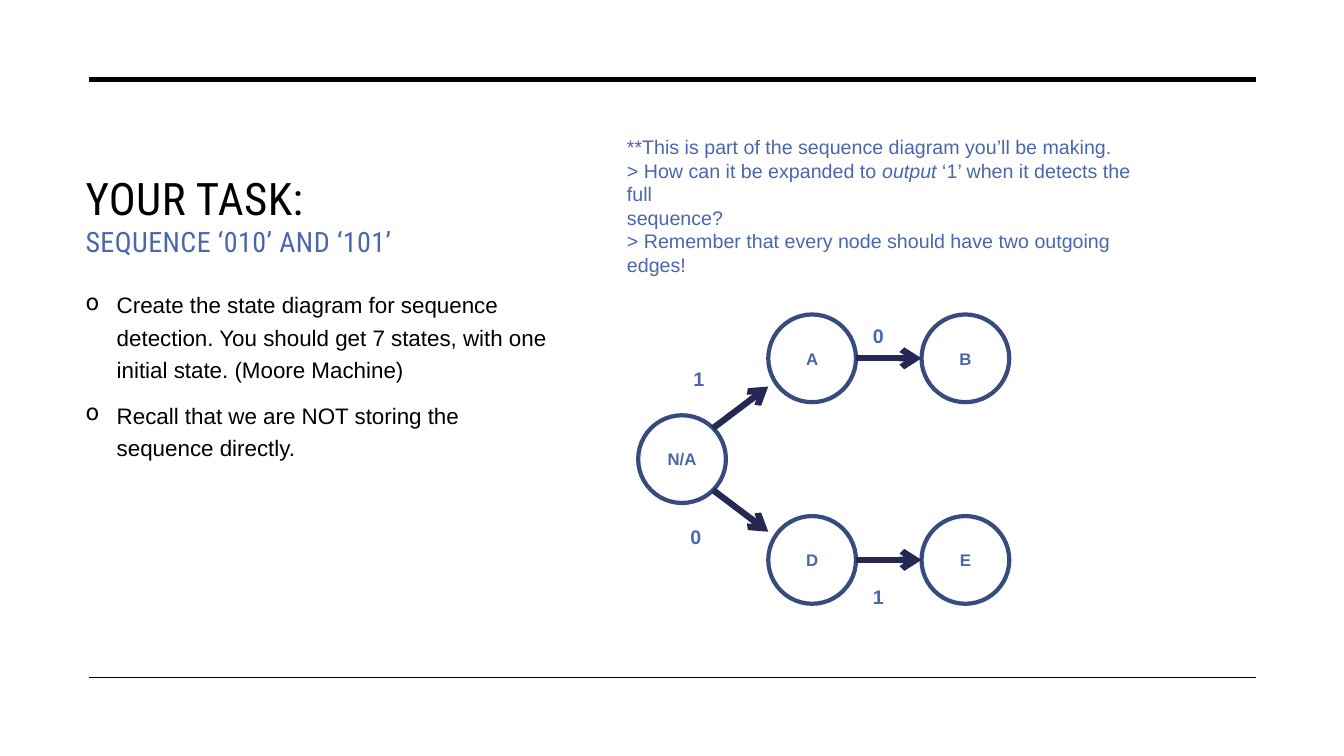
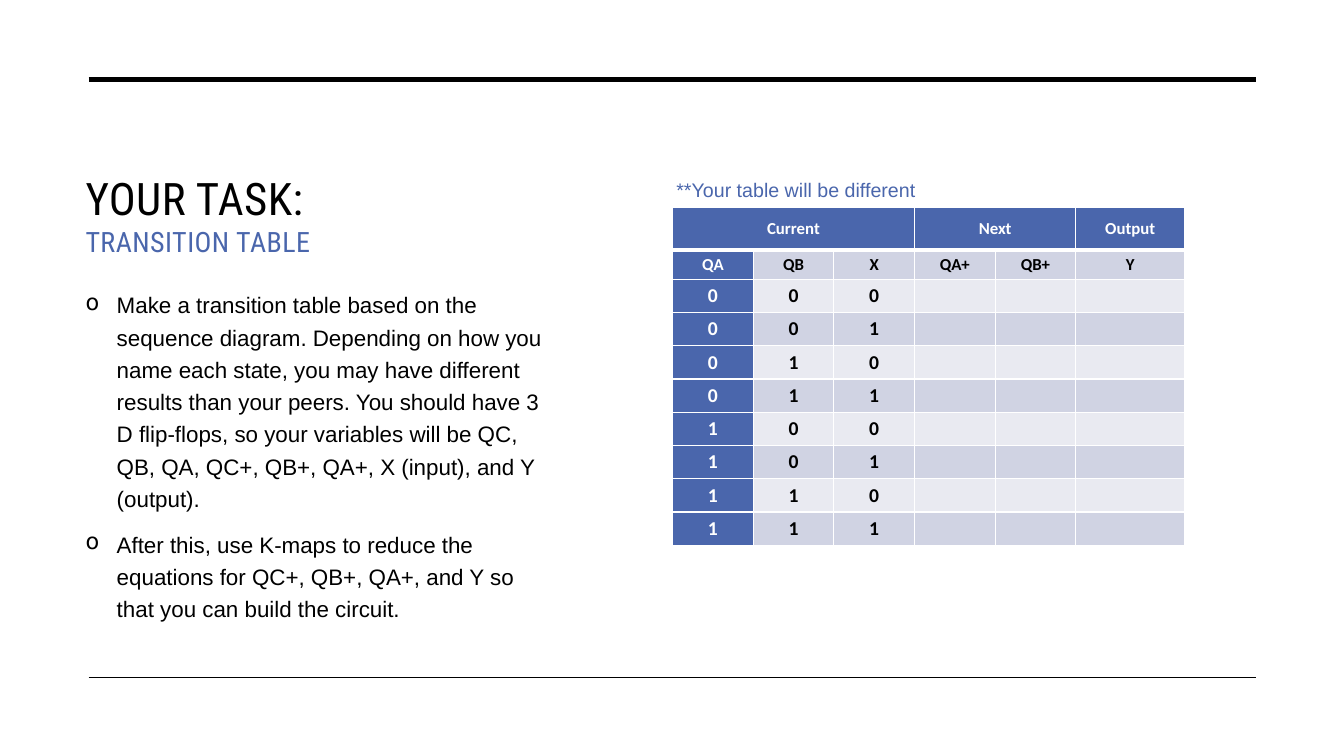
from dataclasses import dataclass
from math import sqrt

from lxml.etree import SubElement
from pptx import Presentation
from pptx.dml.color import RGBColor
from pptx.enum.shapes import MSO_CONNECTOR, MSO_SHAPE
from pptx.enum.text import MSO_ANCHOR, MSO_AUTO_SIZE, PP_ALIGN
from pptx.oxml.ns import qn
from pptx.util import Inches, Pt


@dataclass(frozen=True)
class Theme:
    ink: str = "000000"
    paper: str = "FFFFFF"
    accent: str = "4A66AC"
    outline: str = "374B7F"
    arrow: str = "242852"
    band_dark: str = "D0D3E3"
    band_light: str = "E9EAF1"
    title_font: str = "Roboto Condensed"
    body_font: str = "Arial"
    table_font: str = "Calibri"
    title_size: int = 32
    subtitle_size: int = 20
    body_size: int = 16
    note_size: int = 14
    small_size: int = 12


THEME = Theme()

TITLE = "YOUR TASK:"
DIAGRAM_SUBTITLE = "SEQUENCE ‘010’ AND ‘101’"
DIAGRAM_TASKS = [
    "Create the state diagram for sequence detection. You should get 7 states, "
    "with one initial state. (Moore Machine)",
    "Recall that we are NOT storing the sequence directly.",
]
# Each line is a list of (text, italic) runs.
DIAGRAM_NOTE = [
    [("**This is part of the sequence diagram you’ll be making.", False)],
    [("> How can it be expanded to ", False), ("output", True),
     (" ‘1’ when it detects the full", False)],
    [("sequence?", False)],
    [("> Remember that every node should have two outgoing edges!", False)],
]
NODE_SIZE = 0.87
NODE_COLUMNS = [6.33, 7.62, 9.14]
NODE_ROWS = [3.12, 4.12, 5.12]
NODES = {"N/A": (0, 1), "A": (1, 0), "D": (1, 2), "E": (2, 2), "B": (2, 0)}
EDGES = [("N/A", "A"), ("N/A", "D"), ("A", "B"), ("D", "E")]
EDGE_LABELS = [("1", 6.78, 3.59), ("0", 6.75, 5.16), ("1", 8.56, 5.75), ("0", 8.56, 3.16)]

TABLE_SUBTITLE = "TRANSITION TABLE"
TABLE_TASKS = [
    "Make a transition table based on the sequence diagram. Depending on how you "
    "name each state, you may have different results than your peers. You should "
    "have 3 D flip-flops, so your variables will be QC, QB, QA, QC+, QB+, QA+, "
    "X (input), and Y (output).",
    "After this, use K-maps to reduce the equations for QC+, QB+, QA+, and Y so "
    "that you can build the circuit.",
]
TABLE_NOTE = [[("**Your table will be different", False)]]
TABLE_GROUPS = [("Current", 3), ("Next", 2), ("Output", 1)]
TABLE_HEADINGS = ["QA", "QB", "X", "QA+", "QB+", "Y"]
TABLE_STATES = ["000", "001", "010", "011", "100", "101", "110", "111"]
COLUMN_WIDTHS = [0.8] * 5 + [1.08]
ROW_HEIGHTS = [0.42, 0.29] + [0.33] * len(TABLE_STATES)


def color(value):
    return RGBColor.from_string(value)


def add_run(paragraph, text, size, font_name, text_color, bold=False, italic=False):
    run = paragraph.add_run()
    run.text = text
    run.font.size = Pt(size)
    run.font.name = font_name
    run.font.color.rgb = color(text_color)
    run.font.bold = bold
    run.font.italic = italic
    return run


def add_line(slide, start, end, line_color, width, arrow=False):
    points = [Inches(value) for value in (*start, *end)]
    connector = slide.shapes.add_connector(MSO_CONNECTOR.STRAIGHT, *points)
    connector.line.color.rgb = color(line_color)
    connector.line.width = Pt(width)
    if arrow:
        SubElement(connector.line._get_or_add_ln(), qn("a:tailEnd"), type="arrow")
    SubElement(connector._element.spPr, qn("a:effectLst"))


def add_text_frame(slide, left, top, width, height, wrap=True):
    box = slide.shapes.add_textbox(Inches(left), Inches(top), Inches(width), Inches(height))
    box.text_frame.word_wrap = wrap
    return box.text_frame


def next_paragraph(frame, index):
    return frame.paragraphs[0] if index == 0 else frame.add_paragraph()


def add_note(slide, lines, left, top, width, height, wrap=False, bold=False):
    frame = add_text_frame(slide, left, top, width, height, wrap)
    frame.auto_size = MSO_AUTO_SIZE.SHAPE_TO_FIT_TEXT
    for index, runs in enumerate(lines):
        paragraph = next_paragraph(frame, index)
        for text, italic in runs:
            add_run(paragraph, text, THEME.note_size, THEME.body_font, THEME.accent,
                    bold, italic)


def add_task_slide(presentation, subtitle, tasks):
    """Add a slide with the shared rules, title and bulleted task list."""
    slide = presentation.slides.add_slide(presentation.slide_layouts[6])
    for y, width in ((0.79, 3.5), (6.72, 1)):
        add_line(slide, (0.88, y), (12.46, y), THEME.ink, width)

    title = add_text_frame(slide, 0.75, 1.3, 5.37, 1.31)
    title.vertical_anchor = MSO_ANCHOR.BOTTOM
    paragraph = title.paragraphs[0]
    heading = add_run(paragraph, TITLE, THEME.title_size, THEME.title_font, THEME.ink)
    paragraph.add_line_break()
    subheading = add_run(paragraph, subtitle, THEME.subtitle_size, THEME.title_font,
                         THEME.accent)
    for run in (heading, subheading):
        run.font._element.set("spc", "30")

    body = add_text_frame(slide, 0.75, 2.79, 4.8, 3.63)
    for index, task in enumerate(tasks):
        paragraph = next_paragraph(body, index)
        paragraph.line_spacing = 1.2
        if index:
            paragraph.space_before = Pt(10)
        properties = paragraph._p.get_or_add_pPr()
        properties.set("marL", str(Inches(0.31)))
        properties.set("indent", str(-Inches(0.31)))
        SubElement(properties, qn("a:buChar"), char="o")
        add_run(paragraph, task, THEME.body_size, THEME.body_font, THEME.ink)
    return slide


def node_center(name):
    column, row = NODES[name]
    return NODE_COLUMNS[column] + NODE_SIZE / 2, NODE_ROWS[row] + NODE_SIZE / 2


def add_node(slide, name):
    column, row = NODES[name]
    node = slide.shapes.add_shape(
        MSO_SHAPE.OVAL, Inches(NODE_COLUMNS[column]), Inches(NODE_ROWS[row]),
        Inches(NODE_SIZE), Inches(NODE_SIZE))
    node.shadow.inherit = False
    node.fill.background()
    node.line.color.rgb = color(THEME.outline)
    node.line.width = Pt(3)
    frame = node.text_frame
    frame.vertical_anchor = MSO_ANCHOR.MIDDLE
    frame.margin_left = frame.margin_right = 0
    paragraph = frame.paragraphs[0]
    paragraph.alignment = PP_ALIGN.CENTER
    add_run(paragraph, name, THEME.small_size, THEME.body_font, THEME.accent, bold=True)


def add_edge(slide, source, target):
    """Join two nodes; a sloping edge leaves its source circle at 45 degrees."""
    radius = NODE_SIZE / 2
    source_x, source_y = node_center(source)
    target_x, target_y = node_center(target)
    slope = (target_y > source_y) - (target_y < source_y)
    reach = radius / sqrt(2) if slope else radius
    start = (source_x + reach, source_y + slope * reach)
    end = (target_x - radius, target_y - slope * 0.28)
    add_line(slide, start, end, THEME.arrow, 4.5, arrow=True)


def style_cell(cell, fill, top_width, bottom_width):
    cell.vertical_anchor = MSO_ANCHOR.MIDDLE
    cell.margin_left = cell.margin_right = Inches(0.07)
    cell.margin_top = cell.margin_bottom = 0
    properties = cell._tc.get_or_add_tcPr()
    for side, width in (("L", 1), ("R", 1), ("T", top_width), ("B", bottom_width)):
        border = SubElement(properties, qn(f"a:ln{side}"), w=str(Pt(width)))
        border_fill = SubElement(border, qn("a:solidFill"))
        SubElement(border_fill, qn("a:srgbClr"), val=THEME.paper)
    cell.fill.solid()
    cell.fill.fore_color.rgb = color(fill)


def write_cell(cell, text, size, text_color):
    paragraph = cell.text_frame.paragraphs[0]
    paragraph.alignment = PP_ALIGN.CENTER
    add_run(paragraph, text, size, THEME.table_font, text_color, bold=True)


def add_transition_table(slide, left, top):
    table = slide.shapes.add_table(
        len(ROW_HEIGHTS), len(COLUMN_WIDTHS), Inches(left), Inches(top),
        Inches(sum(COLUMN_WIDTHS)), Inches(sum(ROW_HEIGHTS))).table
    table.first_row = table.horz_banding = False
    for column, width in zip(table.columns, COLUMN_WIDTHS):
        column.width = Inches(width)
    for row, height in zip(table.rows, ROW_HEIGHTS):
        row.height = Inches(height)

    for row in range(len(ROW_HEIGHTS)):
        band = THEME.band_dark if row % 2 else THEME.band_light
        for column in range(len(COLUMN_WIDTHS)):
            fill = THEME.accent if row == 0 or column == 0 else band
            style_cell(table.cell(row, column), fill,
                       top_width=3 if row == 1 else 1,
                       bottom_width=3 if row == 0 else 1)

    first = 0
    for text, span in TABLE_GROUPS:
        cell = table.cell(0, first)
        if span > 1:
            cell.merge(table.cell(0, first + span - 1))
        write_cell(cell, text, THEME.small_size, THEME.paper)
        first += span
    for row, values in enumerate([TABLE_HEADINGS, *TABLE_STATES], start=1):
        size = THEME.small_size if row == 1 else THEME.note_size
        for column, text in enumerate(values):
            text_color = THEME.ink if column else THEME.paper
            write_cell(table.cell(row, column), text, size, text_color)


def build_diagram_slide(presentation):
    slide = add_task_slide(presentation, DIAGRAM_SUBTITLE, DIAGRAM_TASKS)
    add_note(slide, DIAGRAM_NOTE, 6.12, 1.29, 5.33, 1.04, wrap=True)
    for name in NODES:
        add_node(slide, name)
    for source, target in EDGES:
        add_edge(slide, source, target)
    for text, left, top in EDGE_LABELS:
        add_note(slide, [[(text, False)]], left, top, 0.3, 0.34, bold=True)


def build_table_slide(presentation):
    slide = add_task_slide(presentation, TABLE_SUBTITLE, TABLE_TASKS)
    add_transition_table(slide, 6.67, 2.06)
    add_note(slide, TABLE_NOTE, 6.61, 1.72, 2.6, 0.34)


def main():
    presentation = Presentation()
    presentation.slide_width = Inches(13.33)
    presentation.slide_height = Inches(7.5)
    build_diagram_slide(presentation)
    build_table_slide(presentation)
    presentation.save("out.pptx")


if __name__ == "__main__":
    main()
